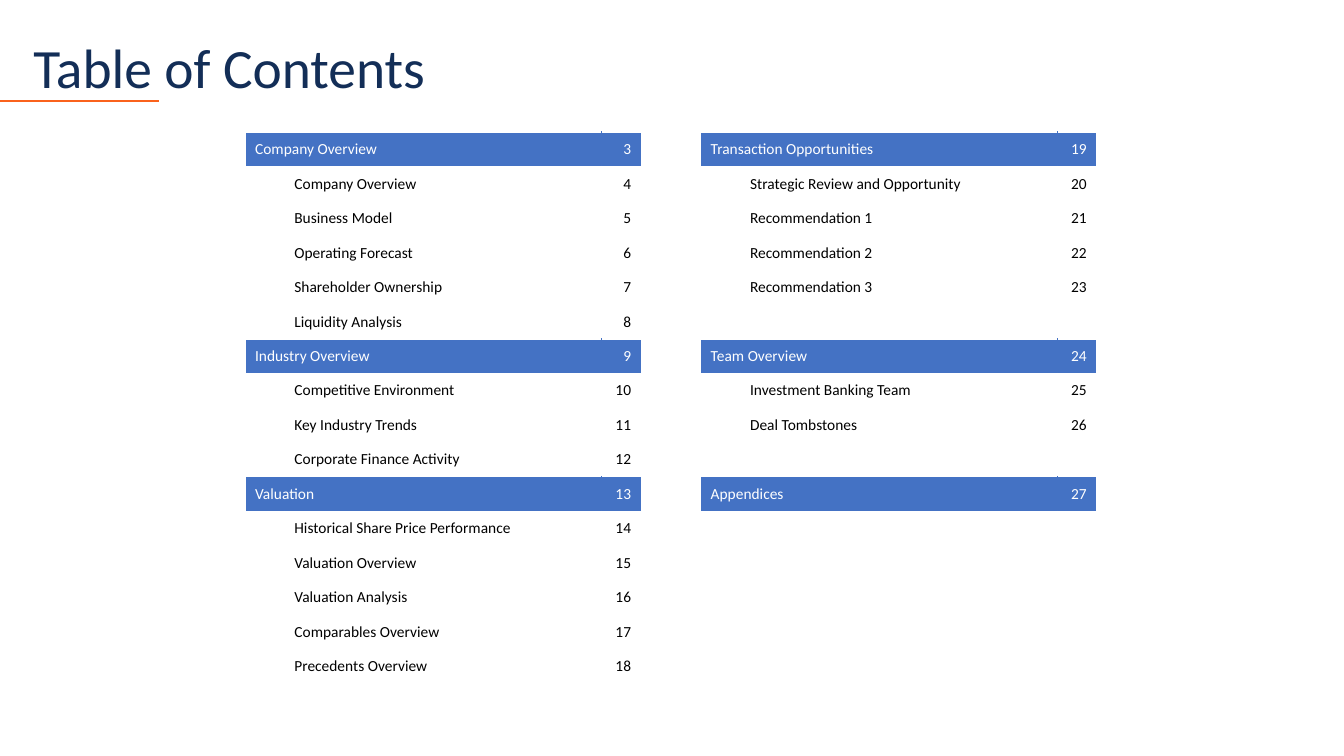
"""Build a table of contents slide with two columns of sections."""
import pptx
import pptx.dml.color
import pptx.enum.shapes
import pptx.enum.text
import pptx.oxml
import pptx.oxml.ns
import pptx.util
from pptx.util import Inches

RGBColor = pptx.dml.color.RGBColor
NAVY = RGBColor(0x13, 0x2E, 0x57)
ORANGE = RGBColor(0xFA, 0x62, 0x1C)
BLUE = RGBColor(0x44, 0x72, 0xC4)
WHITE = RGBColor(0xFF, 0xFF, 0xFF)
BLACK = RGBColor(0x00, 0x00, 0x00)
FONT = "Calibri"
ALIGN = pptx.enum.text.PP_ALIGN
MIDDLE = pptx.enum.text.MSO_ANCHOR.MIDDLE

ROW_COUNT = 16
COLUMN_WIDTHS = (0.39, 3.15, 0.39, 0.59, 0.39, 3.15, 0.39)
SECTION_ROWS = (0, 6, 10)
FIRST_PAGE = 3
LEFT_SECTIONS = (
    ("Company Overview", ("Company Overview", "Business Model", "Operating Forecast",
                          "Shareholder Ownership", "Liquidity Analysis")),
    ("Industry Overview", ("Competitive Environment", "Key Industry Trends",
                           "Corporate Finance Activity")),
    ("Valuation", ("Historical Share Price Performance", "Valuation Overview",
                   "Valuation Analysis", "Comparables Overview", "Precedents Overview")),
)
RIGHT_SECTIONS = (
    ("Transaction Opportunities", ("Strategic Review and Opportunity", "Recommendation 1",
                                   "Recommendation 2", "Recommendation 3")),
    ("Team Overview", ("Investment Banking Team", "Deal Tombstones")),
    ("Appendices", ()),
)


def add_run(p, text, size, color):
    r = p.add_run()
    r.text = text
    r.font.name = FONT
    r.font.size = pptx.util.Pt(size)
    r.font.color.rgb = color


def add_title(s, text):
    sp = s.shapes.title
    sp.left, sp.top = Inches(0.23), Inches(0.4)
    sp.width, sp.height = Inches(11.5), Inches(0.59)
    tf = sp.text_frame
    tf.auto_size = pptx.enum.text.MSO_AUTO_SIZE.NONE
    tf.vertical_anchor = MIDDLE
    p = tf.paragraphs[0]
    p.alignment = ALIGN.LEFT
    p.line_spacing = 0.9
    add_run(p, text, 39.6, NAVY)


def add_rule(s):
    line = s.shapes.add_connector(pptx.enum.shapes.MSO_CONNECTOR.STRAIGHT,
                                  0, Inches(1), Inches(1.58), Inches(1))
    line.line.color.rgb = ORANGE
    line.line.width = pptx.util.Pt(1.5)
    pptx.oxml.ns.qn("a:effectLst")
    sp_pr = line._element.spPr
    sp_pr.append(sp_pr.makeelement(pptx.oxml.ns.qn("a:effectLst"), {}))


def add_border(cell, side):
    ns = pptx.oxml.ns.nsdecls("a")
    cell._tc.get_or_add_tcPr().append(pptx.oxml.parse_xml(
        f'<a:{side} {ns} w="12700"><a:solidFill><a:srgbClr val="{BLUE}"/>'
        f'</a:solidFill></a:{side}>'))


def fill_cell(cell, text, color, alignment=ALIGN.LEFT):
    p = cell.text_frame.paragraphs[0]
    p.alignment = alignment
    add_run(p, text, 11, color)


def add_heading(table, row, col, text, page):
    name, spanned, number = (table.cell(row, col + i) for i in range(3))
    name.merge(spanned)
    for cell, side in ((name, "lnR"), (spanned, "lnR"), (number, "lnL")):
        add_border(cell, side)
        cell.fill.solid()
        cell.fill.fore_color.rgb = BLUE
    fill_cell(name, text, WHITE)
    fill_cell(number, str(page), WHITE, ALIGN.RIGHT)


def add_sections(table, col, sections, page):
    for start, (heading, topics) in zip(SECTION_ROWS, sections):
        add_heading(table, start, col, heading, page)
        for row, topic in enumerate(topics, start + 1):
            page += 1
            fill_cell(table.cell(row, col + 1), topic, BLACK)
            fill_cell(table.cell(row, col + 2), str(page), BLACK, ALIGN.RIGHT)
        page += 1
    return page


def add_contents_table(s):
    height = Inches(5.48)
    table = s.shapes.add_table(ROW_COUNT, len(COLUMN_WIDTHS), Inches(2.43), Inches(1.31),
                               Inches(sum(COLUMN_WIDTHS)), height).table
    table.first_row = table.horz_banding = False
    for column, width in zip(table.columns, COLUMN_WIDTHS):
        column.width = Inches(width)
    for row in table.rows:
        row.height = height // ROW_COUNT
    for cell in table.iter_cells():
        cell.margin_top = cell.margin_bottom = 0
        cell.vertical_anchor = MIDDLE
    next_page = add_sections(table, 0, LEFT_SECTIONS, FIRST_PAGE)
    add_sections(table, 4, RIGHT_SECTIONS, next_page)
    for cell in table.iter_cells():
        if cell.fill.type is None:
            cell.fill.background()


def main():
    prs = pptx.Presentation()
    prs.slide_width, prs.slide_height = Inches(13.33), Inches(7.5)
    s = prs.slides.add_slide(prs.slide_layouts[5])
    add_rule(s)
    add_title(s, "Table of Contents")
    add_contents_table(s)
    prs.save("out.pptx")


if __name__ == "__main__":
    main()
